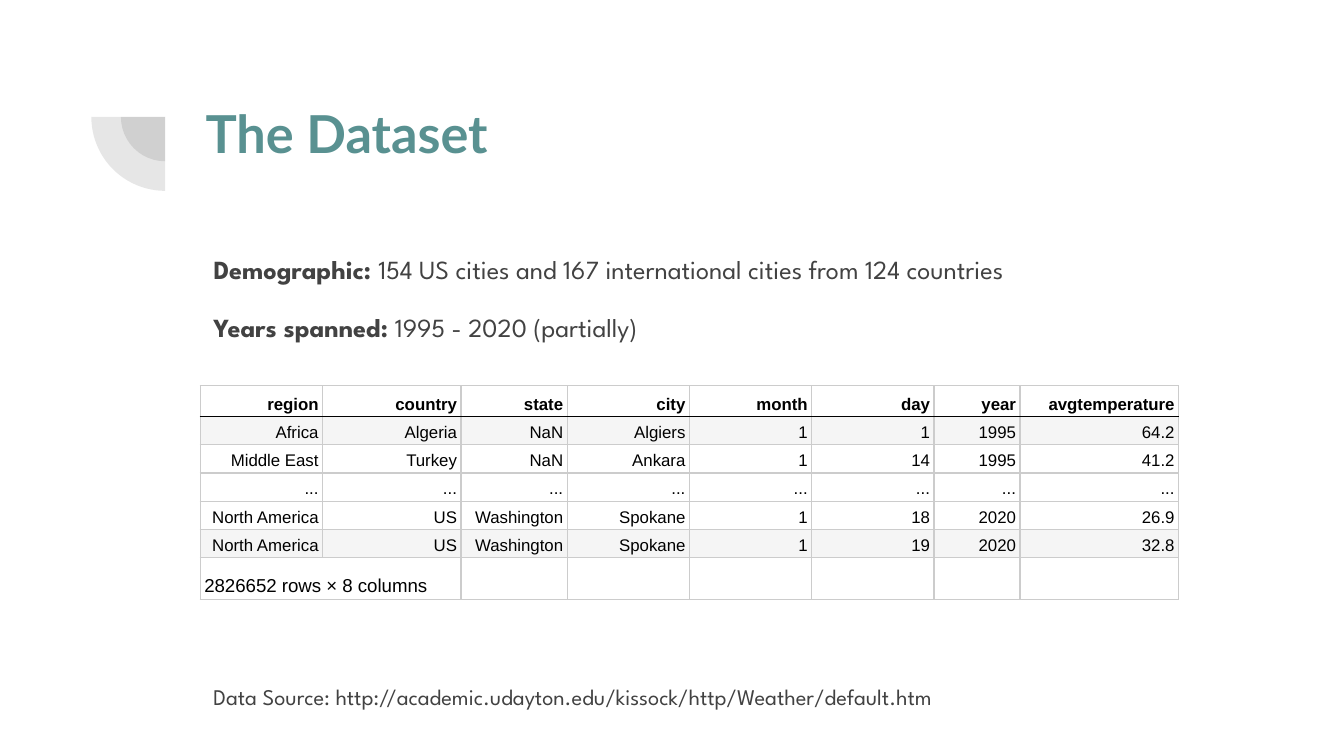
from dataclasses import dataclass

from lxml.etree import SubElement as Sub
from pptx import Presentation
from pptx.dml.color import RGBColor
from pptx.enum.shapes import MSO_SHAPE as Shape
from pptx.enum.text import MSO_ANCHOR as Anchor, MSO_AUTO_SIZE as Fit, PP_ALIGN as Align
from pptx.oxml.ns import qn
from pptx.util import Inches, Pt


@dataclass(frozen=True)
class Theme:
    teal: str = "599191"
    gray: str = "424242"
    black: str = "000000"
    white: str = "FFFFFF"
    band: str = "F5F5F5"
    rule: str = "CCCCCC"
    head: str = "Lato"
    body: str = "League Spartan"
    grid: str = "Arial"
    title: int = 28
    text: int = 14
    source: int = 12
    cell: int = 9
    total: int = 10
    leading: float = 1.15
    line: float = 0.75


T = Theme()
COLS = [0.91, 1.03, 0.79, 0.91, 0.91, 0.91, 0.64, 1.18]
ROWS = [0.23] + [0.21] * 5 + [0.31]
DATA = [
    ["region", "country", "state", "city", "month", "day", "year", "avgtemperature"],
    ["Africa", "Algeria", "NaN", "Algiers", "1", "1", "1995", "64.2"],
    ["Middle East", "Turkey", "NaN", "Ankara", "1", "14", "1995", "41.2"],
    ["..."] * 8,
    ["North America", "US", "Washington", "Spokane", "1", "18", "2020", "26.9"],
    ["North America", "US", "Washington", "Spokane", "1", "19", "2020", "32.8"],
    ["2826652 rows × 8 columns"] + [""] * 7,
]
BANDS = (1, 5)
FACTS = [
    ("Demographic: ", "154 US cities and 167 international cities from 124 countries"),
    ("Years spanned:", " 1995 - 2020 (partially)"),
]
SOURCE = "Data Source: http://academic.udayton.edu/kissock/http/Weather/default.htm"


def place(shape, box):
    shape.left, shape.top, shape.width, shape.height = map(Inches, box)


def add_run(para, text, font, size, color, bold=False):
    run = para.add_run()
    run.text = text
    run.font.name, run.font.size, run.font.bold = font, Pt(size), bold
    run.font.color.rgb = RGBColor.from_string(color)


def set_frame(frame):
    frame.word_wrap, frame.auto_size = True, Fit.NONE
    frame.vertical_anchor = Anchor.TOP
    frame.margin_left = frame.margin_right = Inches(0.1)
    frame.margin_top = frame.margin_bottom = Inches(0.1)


def add_box(slide, box):
    frame = slide.shapes.add_textbox(*map(Inches, box)).text_frame
    set_frame(frame)
    return frame


def add_mark(slide, x, y, radii):
    """Draw nested quarter discs with their shared centre at x, y."""
    for r in radii:
        pie = slide.shapes.add_shape(
            Shape.PIE, *map(Inches, (x - r, y - r, 2 * r, 2 * r)))
        pie.adjustments[0], pie.adjustments[1] = 108, 162
        pie.rotation = 270
        pie.shadow.inherit = False
        pie.line.fill.background()
        pie.fill.solid()
        pie.fill.fore_color.rgb = RGBColor.from_string(T.gray)
        color = pie.fill._xPr.find(".//" + qn("a:srgbClr"))
        Sub(color, qn("a:alpha"), val="13000")


def add_title(slide, box):
    title = slide.shapes.title
    place(title, box)
    set_frame(title.text_frame)
    para = title.text_frame.paragraphs[0]
    para.alignment = Align.LEFT
    add_run(para, "The Dataset", T.head, T.title, T.teal, True)


def add_facts(slide, box):
    frame = add_box(slide, box)
    for i, (label, text) in enumerate(FACTS):
        para = frame.add_paragraph() if i else frame.paragraphs[0]
        para.line_spacing = T.leading
        if i:
            para.space_before = para.space_after = Pt(12)
        add_run(para, label, T.body, T.text, T.gray, True)
        add_run(para, text, T.body, T.text, T.gray)


def add_source(slide, box):
    para = add_box(slide, box).paragraphs[0]
    para.line_spacing, para.space_after = T.leading, Pt(12)
    add_run(para, SOURCE, T.body, T.source, T.gray)


def set_edges(cell, row):
    dark = {0: "lnB", 1: "lnT"}.get(row)
    props = cell._tc.get_or_add_tcPr()
    for side in ("lnL", "lnR", "lnT", "lnB"):
        line = Sub(props, qn("a:" + side), w=str(Pt(T.line)))
        fill = Sub(line, qn("a:solidFill"))
        Sub(fill, qn("a:srgbClr"), val=T.black if side == dark else T.rule)


def fill_cell(cell, row, text):
    last = row == len(DATA) - 1
    size = T.total if last else T.cell
    cell.margin_left = cell.margin_right = Inches(0.03)
    cell.margin_top = cell.margin_bottom = Inches(0.02)
    cell.vertical_anchor = Anchor.BOTTOM
    set_edges(cell, row)
    cell.fill.solid()
    cell.fill.fore_color.rgb = RGBColor.from_string(T.band if row in BANDS else T.white)
    para = cell.text_frame.paragraphs[0]
    para.line_spacing = T.leading
    para.alignment = Align.LEFT if last else Align.RIGHT
    if text:
        add_run(para, text, T.grid, size, T.black, row == 0)
    else:
        Sub(para._p, qn("a:endParaRPr"), sz=str(size * 100))


def add_grid(slide, x, y):
    table = slide.shapes.add_table(
        len(ROWS), len(COLS), *map(Inches, (x, y, sum(COLS), sum(ROWS)))).table
    table.first_row = table.horz_banding = False
    for col, width in zip(table.columns, COLS):
        col.width = Inches(width)
    for r, (line, height) in enumerate(zip(DATA, ROWS)):
        table.rows[r].height = Inches(height)
        for c, text in enumerate(line):
            fill_cell(table.cell(r, c), r, text)
    end = len(ROWS) - 1
    table.cell(end, 0).merge(table.cell(end, 1))


def main():
    deck = Presentation()
    deck.slide_width = Inches(10)
    deck.slide_height = deck.slide_width * 9 // 16
    slide = deck.slides.add_slide(deck.slide_layouts[5])
    add_mark(slide, 1.23, 0.87, (0.33, 0.55))
    add_title(slide, (1.43, 0.65, 7.69, 1.09))
    add_facts(slide, (1.49, 1.75, 7.69, 0.92))
    add_grid(slide, 1.49, 2.87)
    add_source(slide, (1.49, 4.95, 6.14, 0.4))
    deck.save("out.pptx")


if __name__ == "__main__":
    main()
